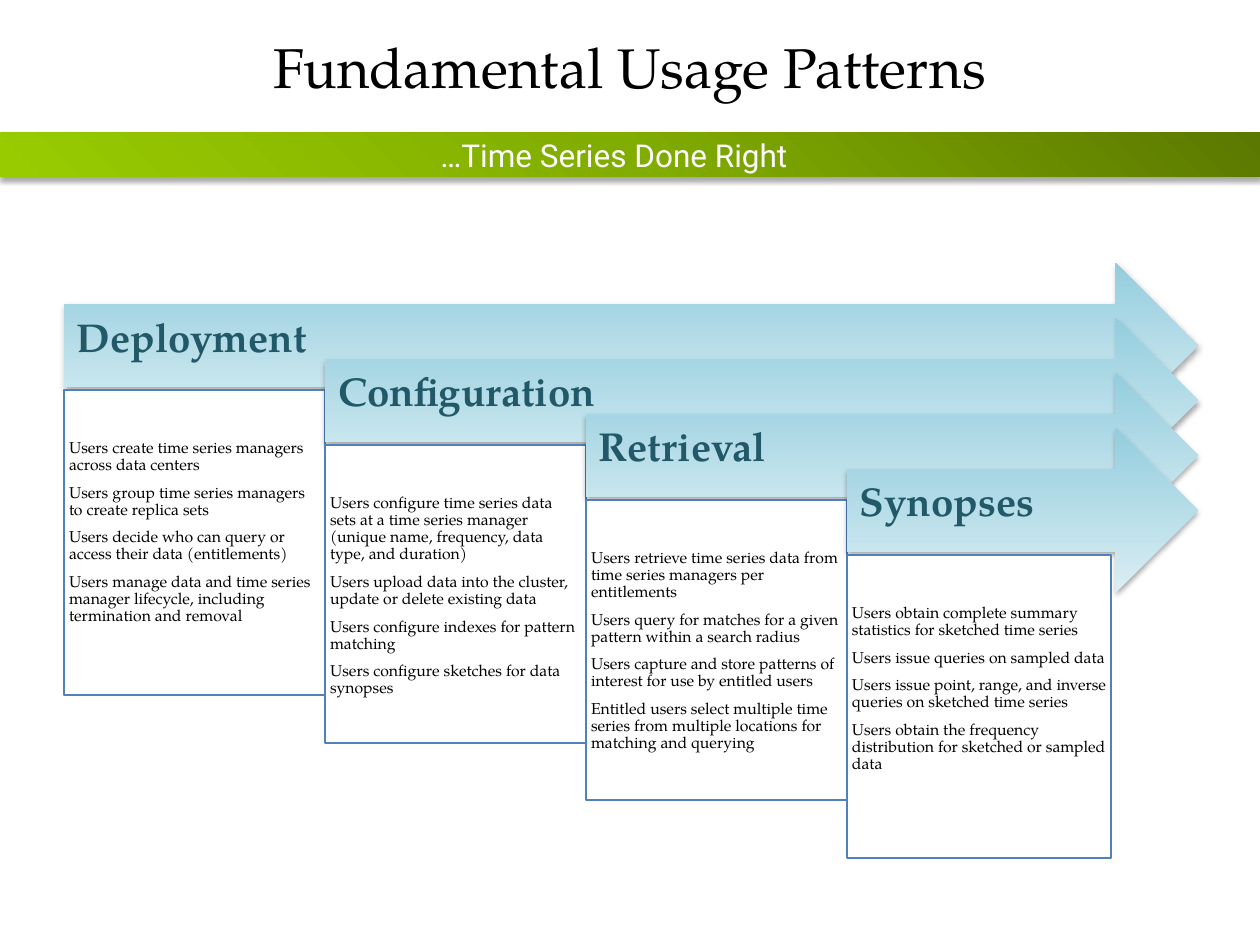
"""Build the Fundamental Usage Patterns slide."""
from dataclasses import dataclass

import lxml.etree
import pptx
import pptx.dml.color
import pptx.enum.shapes
import pptx.enum.text
import pptx.oxml
import pptx.oxml.ns
import pptx.util

EMU_PER_PX = 914400 / 126
SLIDE_WIDTH, SLIDE_HEIGHT = 1260, 945
BAR_TOP, BAR_HEIGHT = 133, 44
FIRST_LEFT, COLUMN_STEP = 64, 261
FIRST_TOP, ROW_STEP = 263, 55
ARROW_RIGHT, ARROW_HEIGHT = 1198, 165
BOX_OFFSET = 127

RECTANGLE = pptx.enum.shapes.MSO_SHAPE.RECTANGLE
RIGHT_ARROW = pptx.enum.shapes.MSO_SHAPE.RIGHT_ARROW
LEFT = pptx.enum.text.PP_ALIGN.LEFT
CENTER = pptx.enum.text.PP_ALIGN.CENTER
TOP = pptx.enum.text.MSO_ANCHOR.TOP
MIDDLE = pptx.enum.text.MSO_ANCHOR.MIDDLE


@dataclass(frozen=True)
class Theme:
    serif: str = "TeX Gyre Pagella"
    sans: str = "Roboto"
    title_size: int = 32
    bar_size: int = 18
    heading_size: int = 23
    body_size: int = 9
    black: str = "000000"
    white: str = "FFFFFF"
    heading: str = "215968"
    outline: str = "4F81BD"
    bar_stops: tuple = ((0, "5B7900"), (50, "81AC00"), (100, "99CC00"))
    arrow_stops: tuple = ((0, "DBEEF4"), (100, "93CDDD"))


THEME = Theme()
RADIAL = '<a:path path="circle"><a:fillToRect l="100000" b="100000"/></a:path>'
UPWARD = '<a:lin ang="16200000" scaled="0"/>'

STAGES = [
    ("Deployment", 261, 305, [
        "Users create time series managers across data centers",
        "Users group time series managers to create replica sets",
        "Users decide who can query or access their data (entitlements)",
        "Users manage data and time series manager lifecycle, including termination and removal",
    ]),
    ("Configuration", 261, 298, [
        "Users configure time series data sets at a time series manager "
        "(unique name, frequency, data type, and duration)",
        "Users upload data into the cluster, update or delete existing data",
        "Users configure indexes for pattern matching",
        "Users configure sketches for data synopses",
    ]),
    ("Retrieval", 261, 300, [
        "Users retrieve time series data from time series managers per entitlements",
        "Users query for matches for a given pattern within a search radius",
        "Users capture and store patterns of interest for use by entitled users",
        "Entitled users select multiple time series from multiple locations for matching and querying",
    ]),
    ("Synopses", 264, 303, [
        "Users obtain complete summary statistics for sketched time series",
        "Users issue queries on sampled data",
        "Users issue point, range, and inverse queries on sketched time series",
        "Users obtain the frequency distribution for sketched or sampled data",
    ]),
]


def px(length):
    """Turn pixels into EMU."""
    return pptx.util.Emu(round(length * EMU_PER_PX))


def rgb(value):
    """Return a colour from its hex value."""
    return pptx.dml.color.RGBColor.from_string(value)


def drawing_element(xml):
    """Parse one DrawingML element given without its namespace declaration."""
    namespace = pptx.oxml.ns.nsdecls("a")
    return pptx.oxml.parse_xml(xml.replace(">", f" {namespace}>", 1))


def write_text(shape, texts, font, size, color, align=LEFT, anchor=MIDDLE,
               insets=(13, 6, 13, 6), line_spacing=1.0, space_after=0, bold=False):
    """Fill a shape with one paragraph per text."""
    frame = shape.text_frame
    frame.word_wrap = True
    frame.vertical_anchor = anchor
    (frame.margin_left, frame.margin_top,
     frame.margin_right, frame.margin_bottom) = map(px, insets)
    for index, text in enumerate(texts):
        paragraph = frame.add_paragraph() if index else frame.paragraphs[0]
        paragraph.alignment = align
        paragraph.line_spacing = line_spacing
        paragraph.space_after = pptx.util.Pt(space_after)
        run = paragraph.add_run()
        run.text = text
        run.font.name = font
        run.font.size = pptx.util.Pt(size)
        run.font.bold = bold
        run.font.color.rgb = rgb(color)


def add_shape(slide, kind, left, top, width, height):
    """Add a preset shape without a shadow."""
    shape = slide.shapes.add_shape(kind, px(left), px(top), px(width), px(height))
    shape.shadow.inherit = False
    return shape


def add_gradient_shape(slide, kind, left, top, width, height, stops, direction):
    """Add a borderless shape with a gradient and a soft shadow below."""
    shape = add_shape(slide, kind, left, top, width, height)
    shape.line.fill.background()
    stop_xml = "".join(
        f'<a:gs pos="{position * 1000}"><a:srgbClr val="{color}"/></a:gs>'
        for position, color in stops)
    properties = shape.element.spPr
    properties.find(pptx.oxml.ns.qn("a:prstGeom")).addnext(drawing_element(
        f'<a:gradFill rotWithShape="1"><a:gsLst>{stop_xml}</a:gsLst>{direction}</a:gradFill>'))
    properties.find(pptx.oxml.ns.qn("a:effectLst")).append(drawing_element(
        '<a:outerShdw blurRad="40000" dist="23000" dir="5400000" rotWithShape="0">'
        f'<a:srgbClr val="{THEME.black}"><a:alpha val="35000"/></a:srgbClr></a:outerShdw>'))
    return shape


def add_title(slide, text):
    """Place and fill the title placeholder."""
    title = slide.shapes.title
    title.left, title.top = px(0), px(0)
    title.width, title.height = px(SLIDE_WIDTH), px(BAR_TOP)
    write_text(title, [text], THEME.serif, THEME.title_size, THEME.black, CENTER)


def add_bar(slide, text):
    """Add the tagline bar across the slide."""
    bar = add_gradient_shape(slide, RECTANGLE, 0, BAR_TOP, SLIDE_WIDTH, BAR_HEIGHT,
                             THEME.bar_stops, RADIAL)
    write_text(bar, [text], THEME.sans, THEME.bar_size, THEME.white, CENTER,
               insets=(13, 6, 45, 6))


def add_stage(slide, index, heading, box_width, box_height, items):
    """Add one arrow with its box of usage items."""
    left = FIRST_LEFT + index * COLUMN_STEP
    top = FIRST_TOP + index * ROW_STEP
    arrow = add_gradient_shape(slide, RIGHT_ARROW, left, top, ARROW_RIGHT - left,
                               ARROW_HEIGHT, THEME.arrow_stops, UPWARD)
    write_text(arrow, [heading], THEME.serif, THEME.heading_size, THEME.heading,
               insets=(13, 13, 35, 26), line_spacing=0.9, bold=True)
    box = add_shape(slide, RECTANGLE, left, top + BOX_OFFSET, box_width, box_height)
    box.fill.solid()
    box.fill.fore_color.rgb = rgb(THEME.white)
    box.line.color.rgb = rgb(THEME.outline)
    box.line.width = pptx.util.Pt(0.75)
    write_text(box, items, THEME.serif, THEME.body_size, THEME.black, anchor=TOP,
               insets=(5, 50, 5, 5), line_spacing=0.9, space_after=6)


def main():
    """Build and save the slide."""
    presentation = pptx.Presentation()
    presentation.slide_width = px(SLIDE_WIDTH)
    presentation.slide_height = px(SLIDE_HEIGHT)
    slide = presentation.slides.add_slide(presentation.slide_layouts[5])
    add_title(slide, "Fundamental Usage Patterns")
    add_bar(slide, "…Time Series Done Right")
    for index, stage in enumerate(STAGES):
        add_stage(slide, index, *stage)
    presentation.save("out.pptx")


if __name__ == "__main__":
    main()
